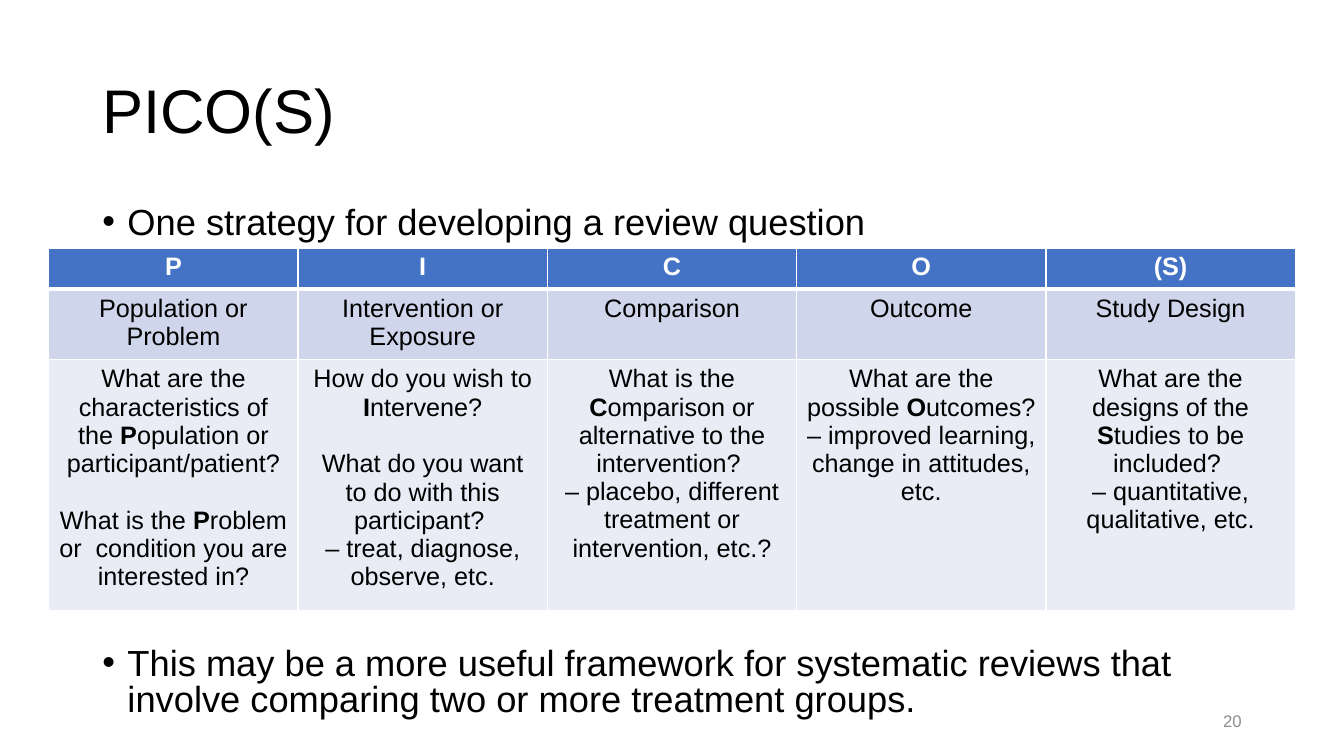
from dataclasses import dataclass

from lxml import etree
from pptx import Presentation
from pptx import util as u
from pptx.dml.color import RGBColor
from pptx.enum import text
from pptx.oxml import ns

SLIDE_W, SLIDE_H = u.Inches(13.33), u.Inches(7.5)
ALIGN, ANCHOR = text.PP_ALIGN, text.MSO_ANCHOR


@dataclass(frozen=True)
class Theme:
    font: str = "Arial"
    ink: str = "000000"
    paper: str = "FFFFFF"
    muted: str = "8C8C8C"
    row_fills: tuple = ("4472C4", "CFD5EA", "E9EBF5")
    title: float = 44
    body: float = 25.9
    cell: float = 18
    number: float = 12


THEME = Theme()

BULLETS = [
    "One strategy for developing a review question",
    "This may be a more useful framework for systematic reviews that "
    "involve comparing two or more treatment groups.",
]

# Each cell is a list of (text, points before); asterisks enclose bold letters.
BLOCK_GAP = 20.5
HEADINGS = ["P", "I", "C", "O", "(S)"]
MEANINGS = ["Population or Problem", "Intervention or Exposure", "Comparison",
            "Outcome", "Study Design"]
QUESTIONS = [
    [("What are the characteristics of the *P*opulation or participant/patient?", 0),
     ("What is the *P*roblem or  condition you are interested in?", BLOCK_GAP)],
    [("How do you wish to *I*ntervene?", 0),
     ("What do you want to do with this participant? ", BLOCK_GAP),
     ("– treat, diagnose, observe, etc.", 0)],
    [("What is the *C*omparison or alternative to the intervention? ", 0),
     ("– placebo, different treatment or intervention, etc.?", 0)],
    [("What are the possible *O*utcomes? ", 0),
     ("– improved learning, change in attitudes, etc.", 0)],
    [("What are the designs of the *S*tudies to be included? ", 0),
     ("– quantitative, qualitative, etc.", 0)],
]
ROWS = [
    [[(f"*{heading}*", 0)] for heading in HEADINGS],
    [[(meaning, 0)] for meaning in MEANINGS],
    QUESTIONS,
]
ROW_HEIGHTS = (5.47, 8.9, 31.1)


def across(percent):
    return u.Emu(round(SLIDE_W * percent / 100))


def down(percent):
    return u.Emu(round(SLIDE_H * percent / 100))


def area(left, top, width, height):
    """Left, top, width and height from percentages of the slide."""
    return across(left), down(top), across(width), down(height)


def apply(target, **values):
    for name, value in values.items():
        setattr(target, name, value)


def write(p, content, size, color, **layout):
    """Fill a paragraph, making the parts between asterisks bold."""
    apply(p, **layout)
    for i, part in enumerate(content.split("*")):
        if part:
            r = p.add_run()
            r.text = part
            apply(r.font, name=THEME.font, size=u.Pt(size), bold=i % 2 == 1)
            r.font.color.rgb = RGBColor.from_string(color)


def paragraphs(tf, count):
    """Yield the first paragraph, then new ones up to count."""
    yield tf.paragraphs[0]
    for _ in range(count - 1):
        yield tf.add_paragraph()


def add_title(slide, content):
    sp = slide.shapes.title
    apply(sp, **dict(zip(("left", "top", "width", "height"),
                         area(6.87, 5.33, 86.25, 19.38))))
    apply(sp.text_frame, word_wrap=True, vertical_anchor=ANCHOR.MIDDLE,
          auto_size=text.MSO_AUTO_SIZE.NONE)
    write(sp.text_frame.paragraphs[0], content, THEME.title, THEME.ink,
          alignment=ALIGN.LEFT, line_spacing=0.9)


def add_textbox(slide, box, anchor):
    tf = slide.shapes.add_textbox(*box).text_frame
    apply(tf, word_wrap=True, vertical_anchor=anchor)
    return tf


def add_bullets(slide, box, items, gap):
    tf = add_textbox(slide, box, ANCHOR.TOP)
    for i, (p, item) in enumerate(zip(paragraphs(tf, len(items)), items)):
        write(p, item, THEME.body, THEME.ink, line_spacing=0.83,
              space_before=u.Pt(gap if i else 0))
        pPr = p._p.get_or_add_pPr()
        pPr.set("marL", str(u.Inches(0.25)))
        pPr.set("indent", str(-u.Inches(0.25)))
        etree.SubElement(pPr, ns.qn("a:buFont")).set("typeface", THEME.font)
        etree.SubElement(pPr, ns.qn("a:buChar")).set("char", "•")


def add_borders(cell, **widths):
    """Draw cell borders; call before the fill so the XML order is valid."""
    tcPr = cell._tc.get_or_add_tcPr()
    for side, width in widths.items():
        ln = etree.SubElement(tcPr, ns.qn(f"a:ln{side}"), w=str(u.Pt(width)))
        fill = etree.SubElement(ln, ns.qn("a:solidFill"))
        etree.SubElement(fill, ns.qn("a:srgbClr"), val=THEME.paper)


def fill_cell(cell, content, row):
    add_borders(cell, L=1, R=1, T=3 if row == 1 else 1, B=1 if row else 3)
    cell.fill.solid()
    cell.fill.fore_color.rgb = RGBColor.from_string(THEME.row_fills[row])
    color = THEME.ink if row else THEME.paper
    lines = zip(paragraphs(cell.text_frame, len(content)), content)
    for p, (line, before) in lines:
        write(p, line, THEME.cell, color, alignment=ALIGN.CENTER,
              space_before=u.Pt(before))


def add_pico_table(slide):
    box = area(3.63, 32.8, 92.75, sum(ROW_HEIGHTS))
    table = slide.shapes.add_table(len(ROWS), len(HEADINGS), *box).table
    for r, (height, cells) in enumerate(zip(ROW_HEIGHTS, ROWS)):
        table.rows[r].height = down(height)
        for c, content in enumerate(cells):
            fill_cell(table.cell(r, c), content, r)


def add_page_number(slide, number):
    tf = add_textbox(slide, area(70.63, 92.67, 22.5, 5.33), ANCHOR.MIDDLE)
    write(tf.paragraphs[0], number, THEME.number, THEME.muted,
          alignment=ALIGN.RIGHT)


def main():
    prs = Presentation()
    apply(prs, slide_width=SLIDE_W, slide_height=SLIDE_H)
    slide = prs.slides.add_slide(prs.slide_layouts.get_by_name("Title Only"))
    add_title(slide, "PICO(S)")
    add_bullets(slide, area(6.87, 26.67, 86.25, 70), BULLETS, gap=289)
    add_pico_table(slide)
    add_page_number(slide, "20")
    prs.save("out.pptx")


if __name__ == "__main__":
    main()
